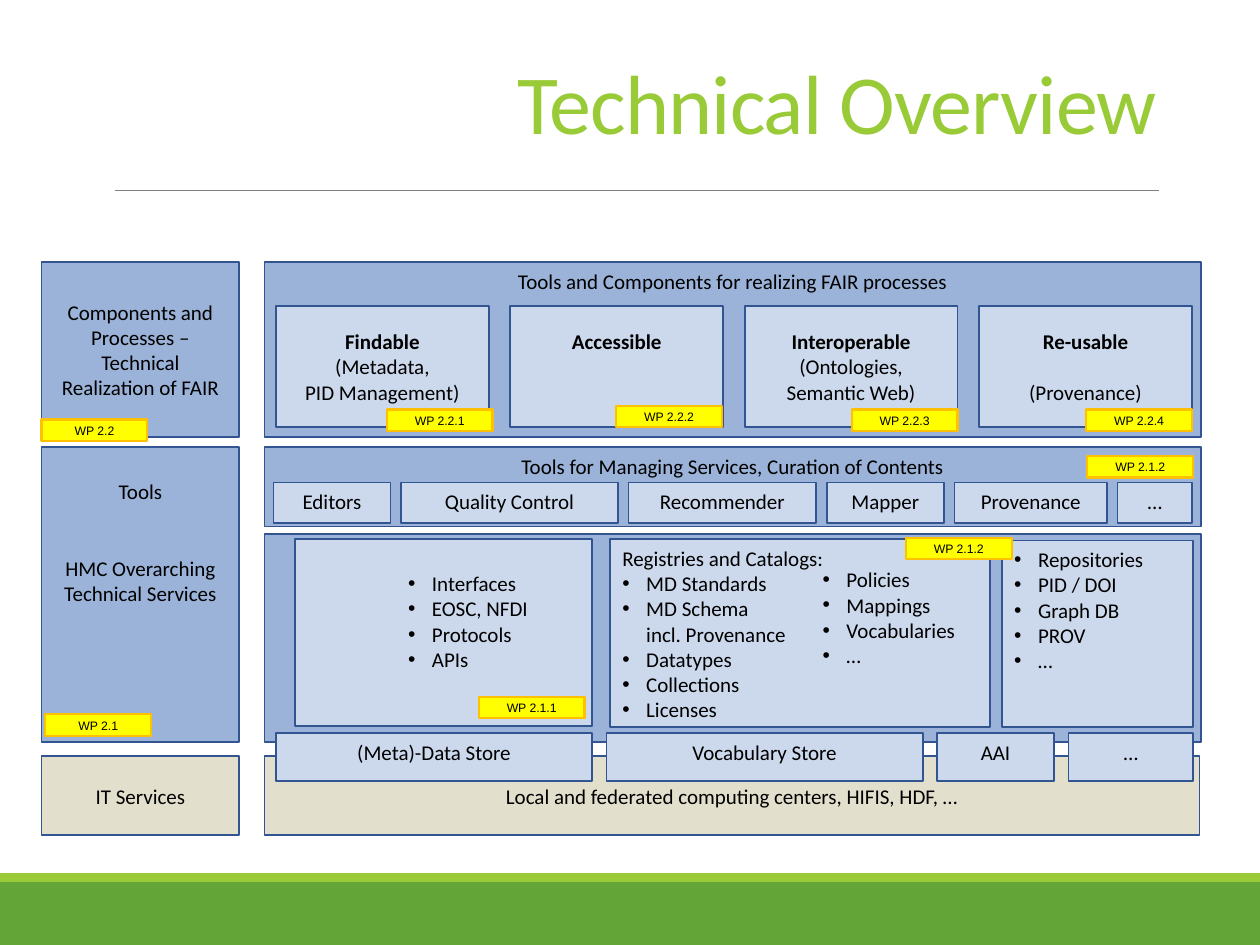
from dataclasses import dataclass

from lxml.etree import SubElement
from pptx import Presentation
from pptx.dml.color import RGBColor
from pptx.enum.shapes import MSO_CONNECTOR, MSO_SHAPE
from pptx.enum.text import MSO_ANCHOR, PP_ALIGN
from pptx.oxml.ns import qn
from pptx.util import Inches, Pt


@dataclass(frozen=True)
class Theme:
    """Colours, fonts and type sizes of the slide."""
    lime: str = "99CB38"
    green: str = "63A537"
    rule: str = "808080"
    panel: str = "9BB3D8"
    card: str = "CCD8EB"
    sand: str = "E2DFCC"
    outline: str = "325491"
    tag: str = "FFFF00"
    tag_outline: str = "FFC000"
    ink: str = "000000"
    font: str = "Calibri"
    tag_font: str = "Arial"
    title: float = 48
    body: float = 12
    small: float = 7
    line_height: float = 14.65


T = Theme()
TOP, MIDDLE = MSO_ANCHOR.TOP, MSO_ANCHOR.MIDDLE


def rgb(value):
    """Return a colour object for a hex string."""
    return RGBColor.from_string(value)


def style(p, size=T.body, font=T.font, color=T.ink, bold=False):
    """Format the runs of a paragraph."""
    for r in p.runs:
        r.font.size, r.font.name, r.font.bold = Pt(size), font, bold
        r.font.color.rgb = rgb(color)


def write(sp, lines, anchor=TOP, inset=0.05, align=PP_ALIGN.CENTER, **look):
    """Put one paragraph per line into a shape."""
    tf = sp.text_frame
    tf.word_wrap, tf.vertical_anchor, tf.margin_top = True, anchor, Inches(inset)
    tf.text = lines[0]
    for line in lines[1:]:
        tf.add_paragraph().text = line
    for p in tf.paragraphs:
        p.alignment = align
        style(p, **look)
    return tf.paragraphs


def add_bullets(paragraphs, indent=0.19):
    """Give paragraphs a hanging round bullet."""
    for p in paragraphs:
        pPr = p._p.get_or_add_pPr()
        pPr.set("marL", str(Inches(indent)))
        pPr.set("indent", str(Inches(-0.19)))
        SubElement(pPr, qn("a:buFont"), typeface=T.tag_font)
        SubElement(pPr, qn("a:buChar"), char="•")


def add_box(s, x, y, w, h, fill, line=T.outline, width=1):
    """Add a flat rectangle, outlined unless line is None."""
    sp = s.shapes.add_shape(MSO_SHAPE.RECTANGLE, Inches(x), Inches(y), Inches(w), Inches(h))
    sp.shadow.inherit = False
    sp.fill.solid()
    sp.fill.fore_color.rgb = rgb(fill)
    if line:
        sp.line.color.rgb, sp.line.width = rgb(line), Pt(width)
    else:
        sp.line.fill.background()
    return sp


def add_tag(s, x, y, text):
    """Add a yellow work package tag."""
    sp = add_box(s, x, y, 0.84, 0.17, T.tag, T.tag_outline, 1.25)
    write(sp, [text], MIDDLE, size=T.small, font=T.tag_font)


def spread(left, right, widths):
    """Return left edges that fill a span with equal gaps."""
    gap = (right - left - sum(widths)) / (len(widths) - 1)
    return [left + sum(widths[:i]) + gap * i for i in range(len(widths))]


def add_row(s, left, y, right, h, labels, widths):
    """Add a row of labelled cards with equal gaps."""
    for x, w, label in zip(spread(left, right, widths), widths, labels):
        write(add_box(s, x, y, w, h, T.card), [label])


def add_frame(s, w, h):
    """Add the title, its rule and the footer bands."""
    add_box(s, 0, h - 0.5, w, 0.5, T.green, None)
    add_box(s, 0, h - 0.57, w, 0.07, T.lime, None)
    rule = s.shapes.add_connector(MSO_CONNECTOR.STRAIGHT, Inches(0.91), Inches(1.51),
                                  Inches(9.2), Inches(1.51))
    rule.line.color.rgb, rule.line.width = rgb(T.rule), Pt(0.5)
    SubElement(rule._element.spPr, qn("a:effectLst"))
    sp = s.shapes.add_textbox(Inches(1.9), Inches(0.18), Inches(7.38), Inches(1.07))
    p = write(sp, ["Technical Overview"], MSO_ANCHOR.BOTTOM, align=PP_ALIGN.RIGHT,
              size=T.title, color=T.lime)[0]
    p.line_spacing = 0.85
    p.runs[0]._r.get_or_add_rPr().set("spc", "-50")


def add_layers(s, x, y, w):
    """Add the left column that names the layers."""
    write(add_box(s, x, y + 3.92, w, 0.63, T.sand), ["IT Services"], MIDDLE)
    tools = add_box(s, x, y + 1.47, w, 2.34, T.panel)
    lines = write(tools, ["Tools", "HMC Overarching", "Technical Services"], inset=0.25)
    lines[1].space_before = Pt(2 * T.line_height)
    write(add_box(s, x, y, w, 1.39, T.panel),
          ["Components and Processes –", "Technical Realization of FAIR"], MIDDLE)
    add_tag(s, x + 0.03, y + 3.59, "WP 2.1")
    add_tag(s, x, y + 1.25, "WP 2.2")


def add_fair(s, x, y, w, h):
    """Add the FAIR panel with its four principle cards."""
    write(add_box(s, x, y, w, h, T.panel),
          ["Tools and Components for realizing FAIR processes"])
    cards = [
        (["Findable", "(Metadata,", "PID Management)"], "WP 2.2.1", 0.88, 1.17),
        (["Accessible"], "WP 2.2.2", 0.84, 1.14),
        (["Interoperable", "(Ontologies,", "Semantic Web)"], "WP 2.2.3", 0.85, 1.17),
        (["Re-usable", "(Provenance)"], "WP 2.2.4", 0.85, 1.17),
    ]
    lefts = spread(x + 0.09, x + w - 0.07, [1.69] * len(cards))
    for left, (lines, tag, dx, dy) in zip(lefts, cards):
        ps = write(add_box(s, left, y + 0.35, 1.69, 0.96, T.card), lines, inset=0.18)
        style(ps[0], bold=True)
        if len(ps) == 2:
            ps[1].space_before = Pt(T.line_height)
        add_tag(s, left + dx, y + dy, tag)


def add_management(s, x, y, w, h):
    """Add the panel of tools for managing services."""
    write(add_box(s, x, y, w, h, T.panel),
          ["Tools for Managing Services, Curation of Contents"])
    labels = ["Editors", "Quality Control", "Recommender", "Mapper", "Provenance", "…"]
    add_row(s, x + 0.07, y + 0.28, x + w - 0.07, 0.32, labels,
            [0.93, 1.72, 1.49, 0.93, 1.21, 0.59])
    add_tag(s, x + 6.53, y + 0.07, "WP 2.1.2")


def add_services(s, x, y, w, h):
    """Add the services panel with interfaces, registries and stores."""
    add_box(s, x, y, w, h, T.panel)
    left = PP_ALIGN.LEFT
    registries = add_box(s, x + 2.74, y + 0.04, 3.02, 1.49, T.card)
    add_bullets(write(registries, ["Registries and Catalogs:", "MD Standards",
                                   "MD Schema\nincl. Provenance", "Datatypes",
                                   "Collections", "Licenses"], align=left)[1:])
    policies = s.shapes.add_textbox(Inches(x + 4.33), Inches(y + 0.21),
                                    Inches(1.6), Inches(1.11))
    add_bullets(write(policies, ["Policies", "Mappings", "Vocabularies", "…"], align=left))
    interfaces = add_box(s, x + 0.24, y + 0.04, 2.36, 1.48, T.card)
    add_bullets(write(interfaces, ["Interfaces", "EOSC, NFDI", "Protocols", "APIs"],
                      inset=0.25, align=left), 0.99)
    repositories = add_box(s, x + 5.85, y + 0.05, 1.52, 1.48, T.card)
    add_bullets(write(repositories, ["Repositories", "PID / DOI", "Graph DB", "PROV", "…"],
                      align=left))
    add_row(s, x + 0.09, y + 1.58, x + w - 0.06, 0.38,
            ["(Meta)-Data Store", "Vocabulary Store", "AAI", "…"], [2.51, 2.51, 0.93, 0.99])
    add_tag(s, x + 1.7, y + 1.29, "WP 2.1.1")
    add_tag(s, x + 5.09, y + 0.03, "WP 2.1.2")


def main():
    """Build and save the slide."""
    prs = Presentation()
    prs.slide_width, prs.slide_height = Inches(10), Inches(7.5)
    s = prs.slides.add_slide(prs.slide_layouts[6])
    add_frame(s, 10, 7.5)
    add_layers(s, 0.33, 2.08, 1.57)
    write(add_box(s, 2.1, 6, 7.42, 0.63, T.sand),
          ["Local and federated computing centers, HIFIS, HDF, …"], MIDDLE)
    add_services(s, 2.1, 4.24, 7.43, 1.65)
    add_management(s, 2.1, 3.55, 7.43, 0.63)
    add_fair(s, 2.1, 2.08, 7.43, 1.39)
    prs.save("out.pptx")


if __name__ == "__main__":
    main()
